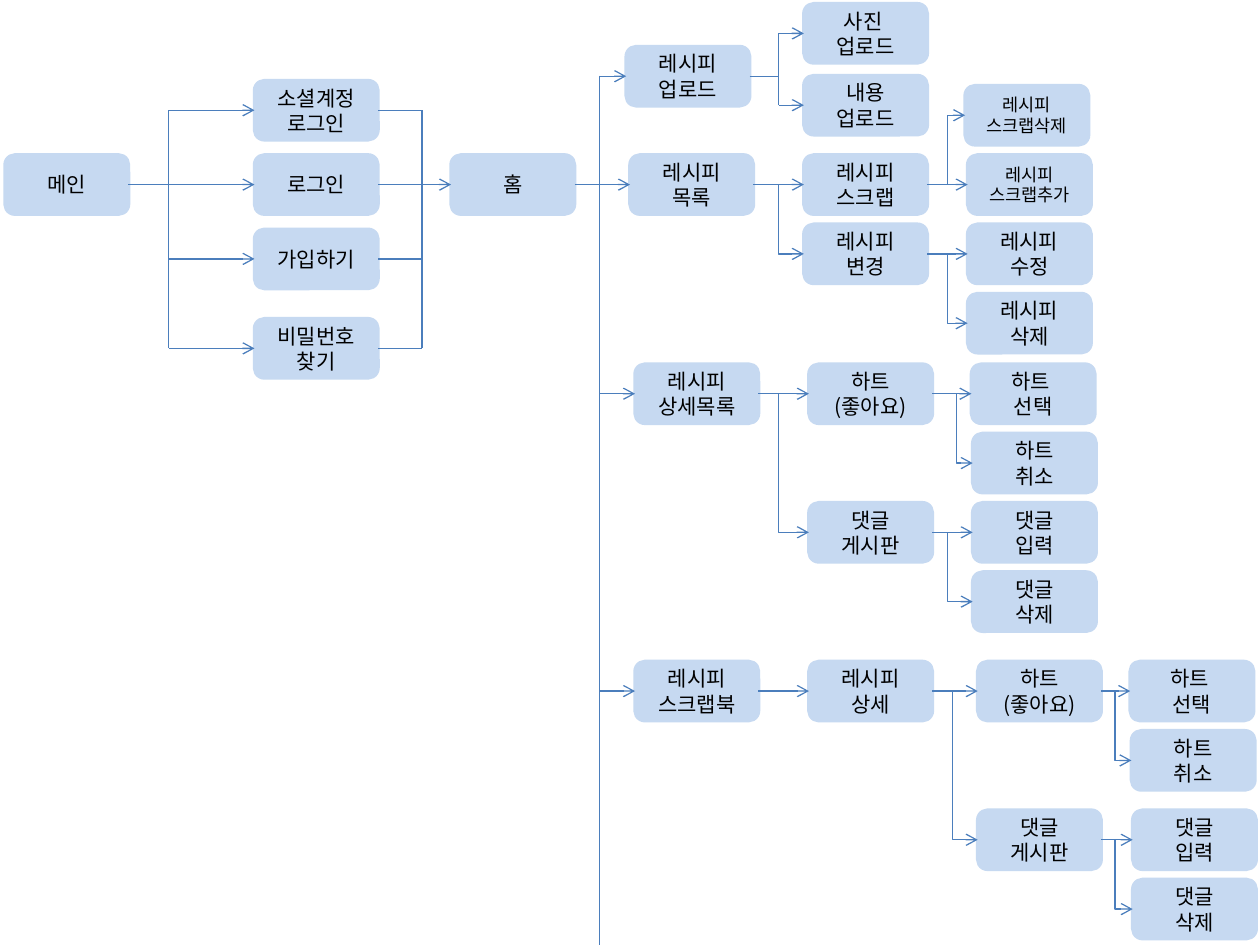
from lxml.etree import SubElement
from pptx import Presentation
from pptx.dml.color import RGBColor
from pptx.enum.shapes import MSO_CONNECTOR as CONN, MSO_SHAPE as SHAPE
from pptx.enum.text import MSO_ANCHOR as ANCHOR, PP_ALIGN as ALIGN
from pptx.oxml.ns import qn
from pptx.util import Inches, Pt

BOX_FILL = RGBColor(0xC6, 0xD9, 0xF1)
LINE = RGBColor(0x4B, 0x7E, 0xBC)
BLACK = RGBColor(0, 0, 0)
FONT = "Noto Sans CJK KR"
W, H = 0.98, 0.47
MID = H / 2
SPINE = 4.76
MAIN_Y = 1.23


def add_box(s, x, y, text, size=12):
    """Add a rounded box with one paragraph per line of text."""
    sp = s.shapes.add_shape(SHAPE.ROUNDED_RECTANGLE, Inches(x), Inches(y), Inches(W), Inches(H))
    sp.shadow.inherit = False
    sp.fill.solid()
    sp.fill.fore_color.rgb = BOX_FILL
    sp.line.color.rgb = BOX_FILL
    sp.line.width = Pt(2)
    tf = sp.text_frame
    tf.word_wrap = True
    tf.vertical_anchor = ANCHOR.MIDDLE
    for i, line in enumerate(text.split("\n")):
        p = tf.paragraphs[0] if i == 0 else tf.add_paragraph()
        p.alignment = ALIGN.CENTER
        p.line_spacing = Pt(size * 1.2)
        r = p.add_run()
        r.text = line
        r.font.size = Pt(size)
        r.font.color.rgb = BLACK
        r.font.name = FONT
        SubElement(r.font._element, qn("a:ea"), typeface=FONT)


def add_line(s, x1, y1, x2, y2, arrow=False, kind=CONN.STRAIGHT):
    """Add a thin connector, with an arrowhead at its end if asked."""
    c = s.shapes.add_connector(kind, Inches(x1), Inches(y1), Inches(x2), Inches(y2))
    c.line.color.rgb = LINE
    c.line.width = Pt(0.75)
    if arrow:
        SubElement(c.line._get_or_add_ln(), qn("a:tailEnd"), type="arrow")
    SubElement(c._element.spPr, qn("a:effectLst"))
    return c


def add_elbow(s, x1, y1, x2, y2):
    """Add an arrow that runs vertically first and then to the right."""
    cx, cy = (x1 + x2) / 2, (y1 + y2) / 2
    half_w, half_h = abs(y2 - y1) / 2, (x2 - x1) / 2
    up = y2 < y1
    flip = 1 if up else -1
    c = add_line(s, cx + half_w, cy + flip * half_h, cx - half_w, cy - flip * half_h,
                 True, CONN.ELBOW)
    spPr = c._element.spPr
    spPr.find(qn("a:xfrm")).set("rot", str((90 if up else 270) * 60000))
    spPr.find(qn("a:prstGeom")).set("prst", "bentConnector2")


def add_login(s, x, y):
    """Add the main box, the login choices and the home box."""
    left, right = x + 1.3, x + 3.31
    choice_x, home_x = x + 1.98, x + 3.54
    mid = y + MID
    choices = [(-0.59, "소셜계정\n로그인"), (0, "로그인"), (0.59, "가입하기"), (1.3, "비밀번호\n찾기")]
    add_box(s, x, y, "메인")
    add_box(s, home_x, y, "홈")
    for dy, text in choices:
        add_box(s, choice_x, y + dy, text)
        add_line(s, left, mid + dy, choice_x, mid + dy, True)
        add_line(s, choice_x + W, mid + dy, right, mid + dy)
    for rail in (left, right):
        add_line(s, rail, mid + choices[0][0], rail, mid + choices[-1][0])
    add_line(s, x + W, mid, left, mid)
    add_line(s, right, mid, home_x, mid, True)
    add_line(s, home_x + W, mid, SPINE, mid)


def add_upload(s, x, y):
    """Add the upload box and its two parts."""
    mid, fork, part_x = y + MID, x + 1.21, x + 1.41
    parts = [(-0.34, "사진 \n업로드"), (0.23, "내용\n업로드")]
    add_box(s, x, y, "레시피\n업로드")
    add_line(s, SPINE, mid, x, mid, True)
    add_line(s, x + W, mid, fork, mid)
    add_line(s, fork, mid + parts[0][0], fork, mid + parts[1][0])
    for dy, text in parts:
        add_box(s, part_x, y + dy, text)
        add_line(s, fork, mid + dy, part_x, mid + dy, True)


def add_branch(s, x, y, nodes, arrows, elbows):
    """Add a tree of boxes whose root sits at x, y beside the spine."""
    for dx, dy, *label in nodes:
        add_box(s, x + dx, y + dy, *label)
    add_line(s, SPINE, y + MID, x, y + MID, True)
    for a, b in arrows:
        (ax, ay), bx = nodes[a][:2], nodes[b][0]
        add_line(s, x + ax + W, y + ay + MID, x + bx, y + ay + MID, True)
    for a, b, fork in elbows:
        ay, (bx, by) = nodes[a][1], nodes[b][:2]
        add_elbow(s, x + fork, y + ay + MID, x + bx, y + by + MID)


LIST_NODES = [
    (0, 0, "레시피\n목록"), (1.38, 0, "레시피\n스크랩"), (1.38, 0.55, "레시피\n변경"),
    (2.68, 0, "레시피\n스크랩추가", 10), (2.66, -0.55, "레시피\n스크랩삭제", 10),
    (2.68, 0.55, "레시피\n수정"), (2.68, 1.1, "레시피\n삭제")]
DETAIL_NODES = [
    (0, 0, "레시피\n상세목록"), (1.38, 0, "하트\n(좋아요)"), (1.38, 1.1, "댓글\n게시판"),
    (2.67, 0, "하트 \n선택"), (2.68, 0.55, "하트\n취소"),
    (2.68, 1.1, "댓글\n입력"), (2.68, 1.65, "댓글\n삭제")]
SCRAPBOOK_NODES = [
    (0, 0, "레시피\n스크랩북"), (1.38, 0, "레시피\n상세"),
    (2.72, 0, "하트\n(좋아요)"), (2.72, 1.18, "댓글\n게시판"),
    (3.93, 0, "하트 \n선택"), (3.94, 0.55, "하트\n취소"),
    (3.95, 1.18, "댓글\n입력"), (3.95, 1.73, "댓글\n삭제")]

prs = Presentation()
prs.slide_width, prs.slide_height = Inches(10), Inches(7.5)
s = prs.slides.add_slide(prs.slide_layouts[6])
add_login(s, 0.04, MAIN_Y)
add_line(s, SPINE, 0.6, SPINE, 7.5)
add_upload(s, 4.97, 0.37)
add_branch(s, 5, MAIN_Y, LIST_NODES, [(0, 1), (1, 3), (2, 5)],
           [(0, 2, 1.18), (1, 4, 2.52), (2, 6, 2.52)])
add_branch(s, 5.04, 2.89, DETAIL_NODES, [(0, 1), (1, 3), (2, 5)],
           [(0, 2, 1.14), (1, 4, 2.55), (2, 6, 2.48)])
add_branch(s, 5.04, 5.25, SCRAPBOOK_NODES, [(0, 1), (1, 2), (2, 4), (3, 6)],
           [(1, 3, 2.52), (2, 5, 3.81), (3, 7, 3.81)])
prs.save("out.pptx")
